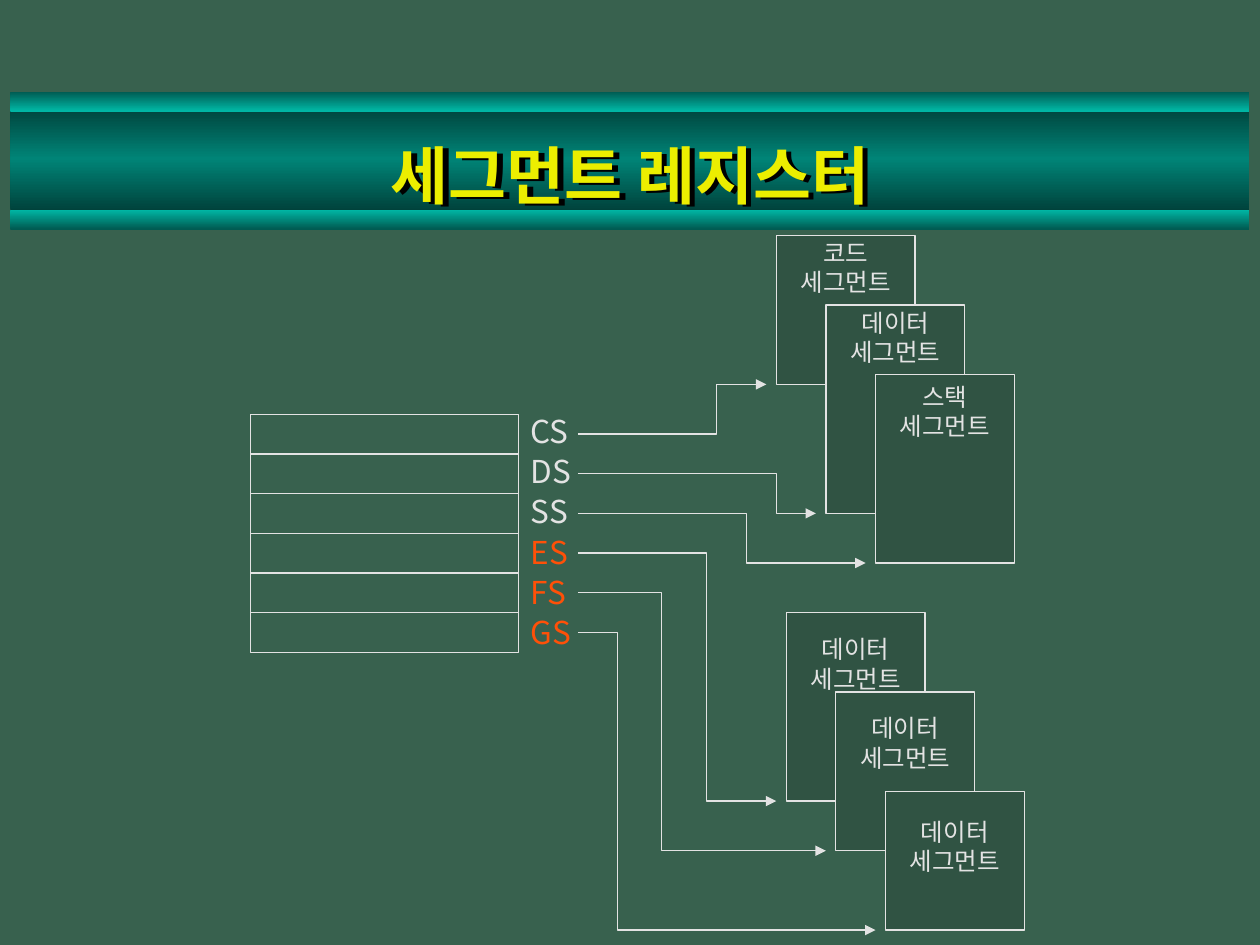
from dataclasses import dataclass

from lxml import etree
from pptx import Presentation
from pptx.dml.color import RGBColor
from pptx.enum.shapes import MSO_CONNECTOR, MSO_SHAPE
from pptx.enum.text import MSO_ANCHOR, PP_ALIGN
from pptx.oxml.ns import qn
from pptx.util import Cm, Pt

RECTANGLE = MSO_SHAPE.RECTANGLE
STRAIGHT = MSO_CONNECTOR.STRAIGHT
TOP, MIDDLE = MSO_ANCHOR.TOP, MSO_ANCHOR.MIDDLE
LEFT, CENTER = PP_ALIGN.LEFT, PP_ALIGN.CENTER


@dataclass(frozen=True)
class Theme:
    font: str = "Noto Sans CJK KR"
    background: str = "38614E"
    panel: str = "305343"
    ink: str = "E3E3E3"
    accent: str = "FF5008"
    title: str = "ECEE00"
    shadow: str = "000000"
    band: tuple = ((0, "00423B"), (50, "008477"), (100, "00423B"))
    edge: tuple = ((0, "005B52"), (100, "00B7A5"))
    edge_reversed: tuple = ((0, "00B7A5"), (100, "005B52"))
    title_size: float = 36
    register_size: float = 18
    segment_size: float = 14
    register_spacing: float = 23
    line_width: float = 0.75


def add_element(parent, tag, **attributes):
    return etree.SubElement(parent, qn(tag), attributes)


class SlideBuilder:
    def __init__(self, slide, theme):
        self.slide = slide
        self.theme = theme
        fill = slide.background.fill
        fill.solid()
        fill.fore_color.rgb = RGBColor.from_string(theme.background)

    def outline(self, item):
        item.line.color.rgb = RGBColor.from_string(self.theme.ink)
        item.line.width = Pt(self.theme.line_width)

    def box(self, left, top, width, height, color=None):
        shape = self.slide.shapes.add_shape(
            RECTANGLE, Cm(left), Cm(top), Cm(width), Cm(height))
        shape.shadow.inherit = False
        if color:
            shape.fill.solid()
            shape.fill.fore_color.rgb = RGBColor.from_string(color)
        else:
            shape.fill.background()
        self.outline(shape)
        return shape

    def gradient_band(self, left, top, width, height, stops):
        shape = self.box(left, top, width, height)
        shape.line.fill.background()
        shape.fill.gradient()
        gradient = shape._element.spPr.find(qn("a:gradFill"))
        stop_list = gradient.find(qn("a:gsLst"))
        for stop in list(stop_list):
            stop_list.remove(stop)
        for position, color in stops:
            stop = add_element(stop_list, "a:gs", pos=str(position * 1000))
            add_element(stop, "a:srgbClr", val=color)
        gradient.find(qn("a:lin")).set("ang", "5400000")

    def set_text(self, shape, lines, size, alignment=CENTER, bold=False,
                 spacing=None, **frame_format):
        frame = shape.text_frame
        for name, value in frame_format.items():
            setattr(frame, name, value)
        font_format = {"name": self.theme.font, "size": Pt(size), "bold": bold}
        for index, (text, color) in enumerate(lines):
            paragraph = frame.paragraphs[0] if index == 0 else frame.add_paragraph()
            paragraph.alignment = alignment
            paragraph.line_spacing = spacing
            run = paragraph.add_run()
            run.text = text
            run.font.color.rgb = RGBColor.from_string(color)
            for name, value in font_format.items():
                setattr(run.font, name, value)
            add_element(run._r.get_or_add_rPr(), "a:ea", typeface=self.theme.font)

    def text(self, left, top, width, height, lines, size, **text_format):
        shape = self.slide.shapes.add_textbox(
            Cm(left), Cm(top), Cm(width), Cm(height))
        self.set_text(shape, lines, size, **text_format)
        return shape

    def title(self, left, top, width, height, text):
        shape = self.text(left, top, width, height, [(text, self.theme.title)],
                          self.theme.title_size, bold=True, word_wrap=True,
                          vertical_anchor=MIDDLE)
        effects = add_element(shape._element.spPr, "a:effectLst")
        shadow = add_element(effects, "a:outerShdw", dist="40000", dir="1200000")
        add_element(shadow, "a:srgbClr", val=self.theme.shadow)

    def segment(self, left, top, width, height, name, inset):
        shape = self.box(left, top, width, height, self.theme.panel)
        lines = [(text, self.theme.ink) for text in (name, "세그먼트")]
        self.set_text(shape, lines, self.theme.segment_size, word_wrap=False,
                      vertical_anchor=TOP, margin_top=Cm(inset), margin_bottom=0)

    def divider(self, left, right, y):
        connector = self.slide.shapes.add_connector(
            STRAIGHT, Cm(left), Cm(y), Cm(right), Cm(y))
        self.outline(connector)
        add_element(connector._element.spPr, "a:effectLst")
        return connector

    def arrow(self, points):
        start, *rest = [(Cm(x), Cm(y)) for x, y in points]
        builder = self.slide.shapes.build_freeform(*start)
        builder.add_line_segments(rest, close=False)
        shape = builder.convert_to_shape()
        shape.fill.background()
        self.outline(shape)
        line = shape._element.spPr.find(qn("a:ln"))
        add_element(line, "a:tailEnd", type="triangle")
        shape.shadow.inherit = False


def main():
    presentation = Presentation()
    presentation.slide_width, presentation.slide_height = Cm(25.4), Cm(19.05)
    theme = Theme()
    slide = presentation.slides.add_slide(presentation.slide_layouts[6])
    builder = SlideBuilder(slide, theme)

    for top, height, stops in ((2.15, 2.1, theme.band),
                               (4.23, 0.39, theme.edge_reversed),
                               (1.85, 0.39, theme.edge)):
        builder.gradient_band(0.21, top, 24.97, height, stops)
    builder.title(1.9, 2.49, 21.6, 2.06, "세그먼트 레지스터")

    registers = [(name, theme.ink) for name in ("CS", "DS", "SS")]
    registers += [(name, theme.accent) for name in ("ES", "FS", "GS")]
    builder.text(10.45, 8.13, 1.4, 5.13, registers, theme.register_size,
                 alignment=LEFT, spacing=Pt(theme.register_spacing),
                 word_wrap=False)

    left, top, width, row_height = 5.05, 8.35, 5.4, 0.8
    row_count = len(registers)
    table_frame = builder.box(left, top, width, row_height * row_count)
    for row in range(1, row_count):
        divider = builder.divider(left, left + width, top + row * row_height)
        if row * 2 == row_count:
            divider.begin_connect(table_frame, 1)
            divider.end_connect(table_frame, 3)

    segment_width, arrow_start, arrow_gap = 2.8, 11.65, 0.2
    segments = (
        (15.65, 4.75, 3.0, "코드", 0.04, 14.45),
        (16.65, 6.15, 4.2, "데이터", 0.05, 15.65),
        (17.65, 7.55, 3.8, "스택", 0.15, 15.05),
        (15.85, 12.35, 3.8, "데이터", 0.44, 14.25),
        (16.85, 13.95, 3.2, "데이터", 0.43, 13.33),
        (17.85, 15.95, 2.8, "데이터", 0.52, 12.45),
    )
    for x, y, height, name, inset, _ in segments:
        builder.segment(x, y, segment_width, height, name, inset)
    for row, (x, y, height, _, _, turn) in enumerate(segments):
        start_y, end_y = top + (row + 0.5) * row_height, y + height
        builder.arrow([(arrow_start, start_y), (turn, start_y),
                       (turn, end_y), (x - arrow_gap, end_y)])

    presentation.save("out.pptx")


if __name__ == "__main__":
    main()
